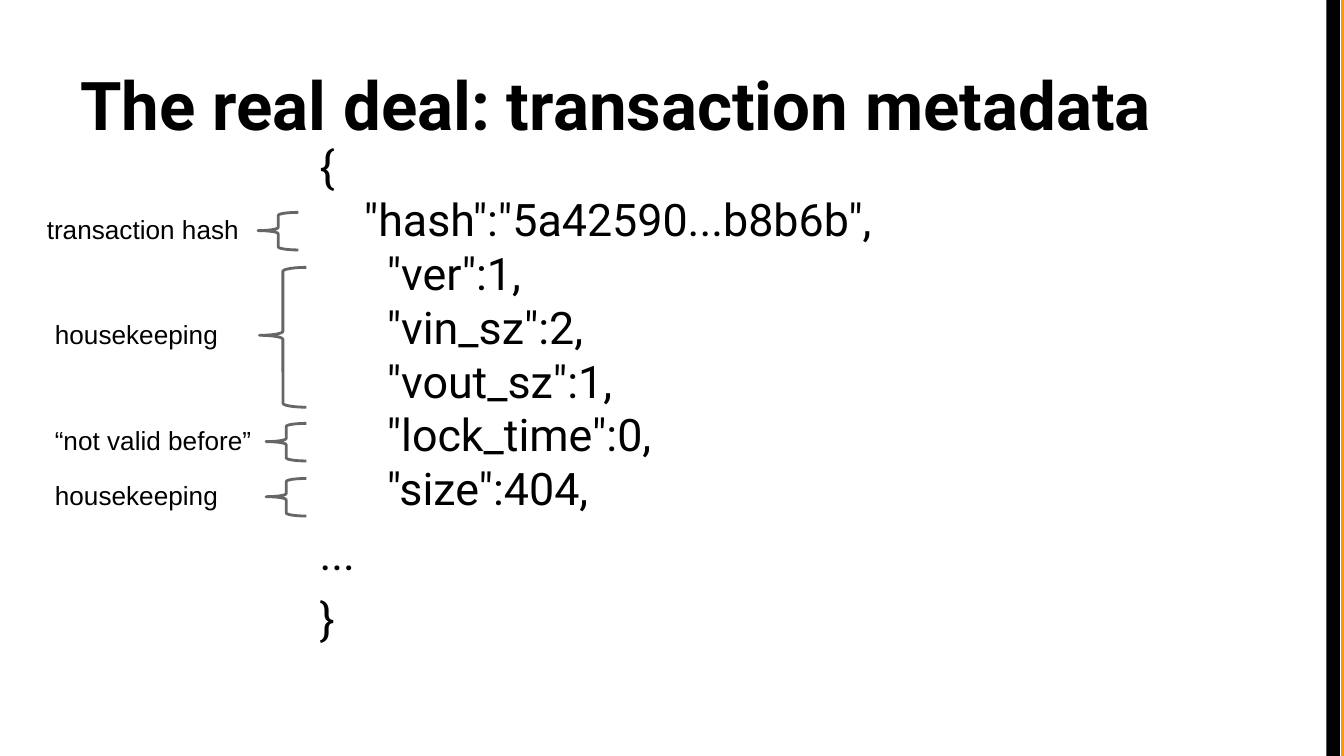
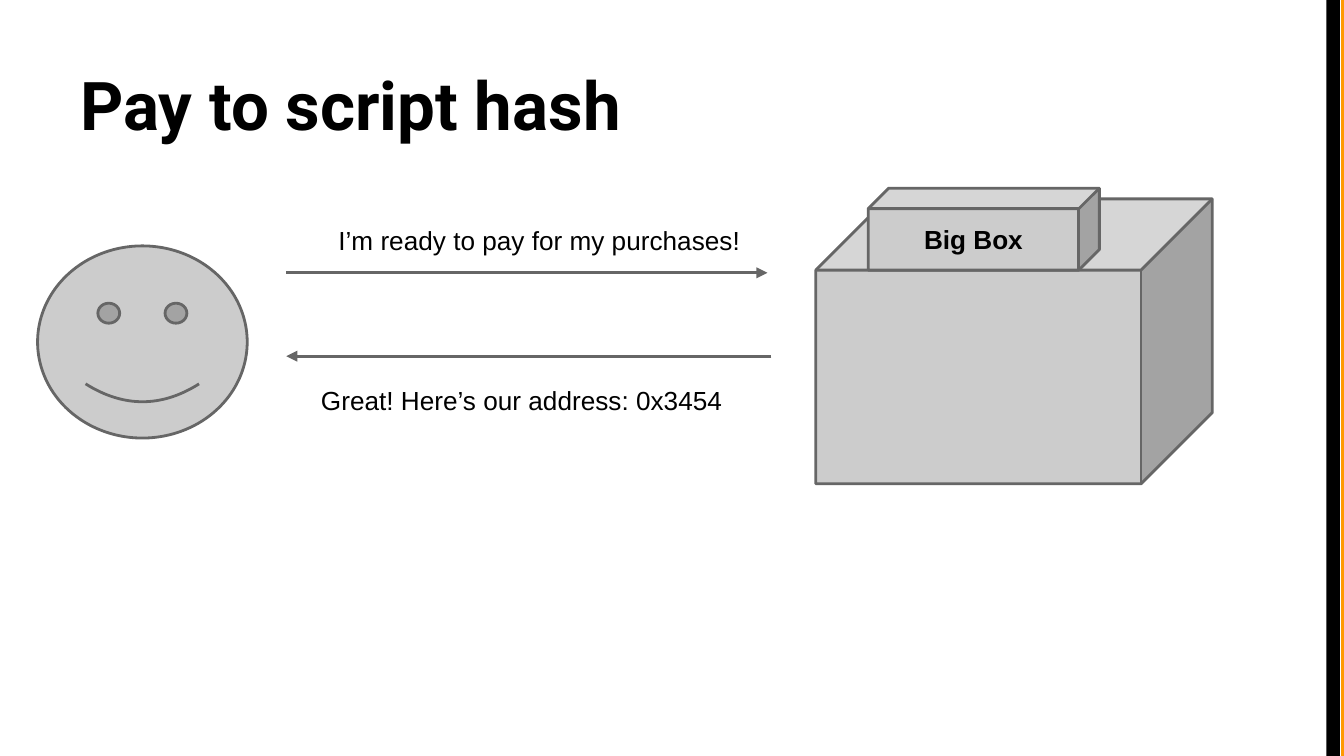
"""Build two slides on transaction metadata and paying to a script hash."""
from lxml import etree
from pptx import Presentation
from pptx import util as u
from pptx.dml.color import RGBColor
from pptx.enum import shapes, text
from pptx.oxml import ns

BLACK, ORANGE, GREY, LIGHT = "000000", "FF9900", "666666", "CCCCCC"
MSO = shapes.MSO_SHAPE


def write(sp, lines, size=14, font="Arial", bold=False, align=None,
          anchor=text.MSO_ANCHOR.TOP):
    tf = sp.text_frame
    tf.word_wrap = True
    tf.vertical_anchor = anchor
    tf.margin_left = tf.margin_right = u.Inches(0.1)
    tf.margin_top = tf.margin_bottom = u.Inches(0.1)
    for i, (line, indent, before) in enumerate(lines):
        p = tf.paragraphs[0] if i == 0 else tf.add_paragraph()
        p.alignment = align
        p.space_before = u.Pt(before)
        p._p.get_or_add_pPr().set("marL", str(u.Inches(indent)))
        r = p.add_run()
        r.text = line
        r.font.size = u.Pt(size)
        r.font.name = font
        r.font.bold = bold
        r.font.color.rgb = RGBColor.from_string(BLACK)


def draw(s, kind, box, fill=None, line=None, adj=()):
    sp = s.shapes.add_shape(kind, *map(u.Inches, box))
    sp.shadow.inherit = False
    for i, value in enumerate(adj):
        sp.adjustments[i] = value
    if fill:
        sp.fill.solid()
        sp.fill.fore_color.rgb = RGBColor.from_string(fill)
    else:
        sp.fill.background()
    if line:
        sp.line.color.rgb = RGBColor.from_string(line)
        sp.line.width = u.Pt(1.5)
    else:
        sp.line.fill.background()
    return sp


prs = Presentation()
prs.slide_width = u.Inches(10)
prs.slide_height = u.Inches(10 * 9 / 16)

slides = []
for title in ("The real deal: transaction metadata", "Pay to script hash"):
    s = prs.slides.add_slide(prs.slide_layouts[6])
    for left, colour in ((9.98, ORANGE), (9.87, BLACK)):
        draw(s, MSO.RECTANGLE, (left, 0, 0.1, 10 * 9 / 16), fill=colour)
    sp = s.shapes.add_textbox(*map(u.Inches, (0.5, 0.23, 9, 0.94)))
    write(sp, [(title, 0, 0)], size=36, font="Roboto", bold=True,
          anchor=text.MSO_ANCHOR.BOTTOM)
    slides.append(s)
metadata, payment = slides

fields = ['"ver":1,', '"vin_sz":2,', '"vout_sz":1,', '"lock_time":0,', '"size":404,']
code = [("{", 0, 6), ('"hash":"5a42590...b8b6b",', 0.33, 0)]
code += [(field, 0.5, 0) for field in fields]
code += [("...", 0, 6), ("}", 0, 6)]
sp = metadata.shapes.add_textbox(*map(u.Inches, (2.28, 0.93, 9, 4.53)))
write(sp, code, size=24, font="Roboto")

notes = [
    ("transaction hash", (0.25, 1.49, 1.73, 0.46), (1.92, 1.58, 0.3, 0.28)),
    ("housekeeping", (0.31, 2.27, 1.62, 0.46), (1.93, 1.99, 0.35, 1.04)),
    ("“not valid before”", (0.31, 3.06, 1.73, 0.46), (1.98, 3.15, 0.3, 0.28)),
    ("housekeeping", (0.31, 3.47, 1.62, 0.46), (1.98, 3.56, 0.3, 0.28)),
]
for label, box, brace in notes:
    draw(metadata, MSO.LEFT_BRACE, brace, line=GREY, adj=(0.083, 0.486))
    sp = metadata.shapes.add_textbox(*map(u.Inches, box))
    write(sp, [(label, 0, 0)])

draw(payment, MSO.CUBE, (6.07, 1.48, 2.95, 2.12), LIGHT, GREY, (0.25,))
sign = draw(payment, MSO.CUBE, (6.46, 1.4, 1.72, 0.61), LIGHT, GREY, (0.25,))
write(sign, [("Big Box", 0, 0)], bold=True, align=text.PP_ALIGN.CENTER,
      anchor=text.MSO_ANCHOR.MIDDLE)

messages = [
    ("I’m ready to pay for my purchases!", (2.42, 1.57, 3.33, 0.35), 2.13, 5.71, 2.03),
    ("Great! Here’s our address: 0x3454", (2.29, 2.76, 3.57, 0.42), 5.74, 2.13, 2.65),
]
for message, box, start, end, y in messages:
    arrow = payment.shapes.add_connector(
        shapes.MSO_CONNECTOR.STRAIGHT, *map(u.Inches, (start, y, end, y)))
    arrow.line.color.rgb = RGBColor.from_string(GREY)
    arrow.line.width = u.Pt(1.5)
    etree.SubElement(arrow.line._get_or_add_ln(), ns.qn("a:tailEnd"), type="triangle")
    etree.SubElement(arrow._element.spPr, ns.qn("a:effectLst"))
    sp = payment.shapes.add_textbox(*map(u.Inches, box))
    write(sp, [(message, 0, 0)])

draw(payment, MSO.SMILEY_FACE, (0.28, 1.83, 1.56, 1.43), LIGHT, GREY, (0.047,))

prs.save("out.pptx")
